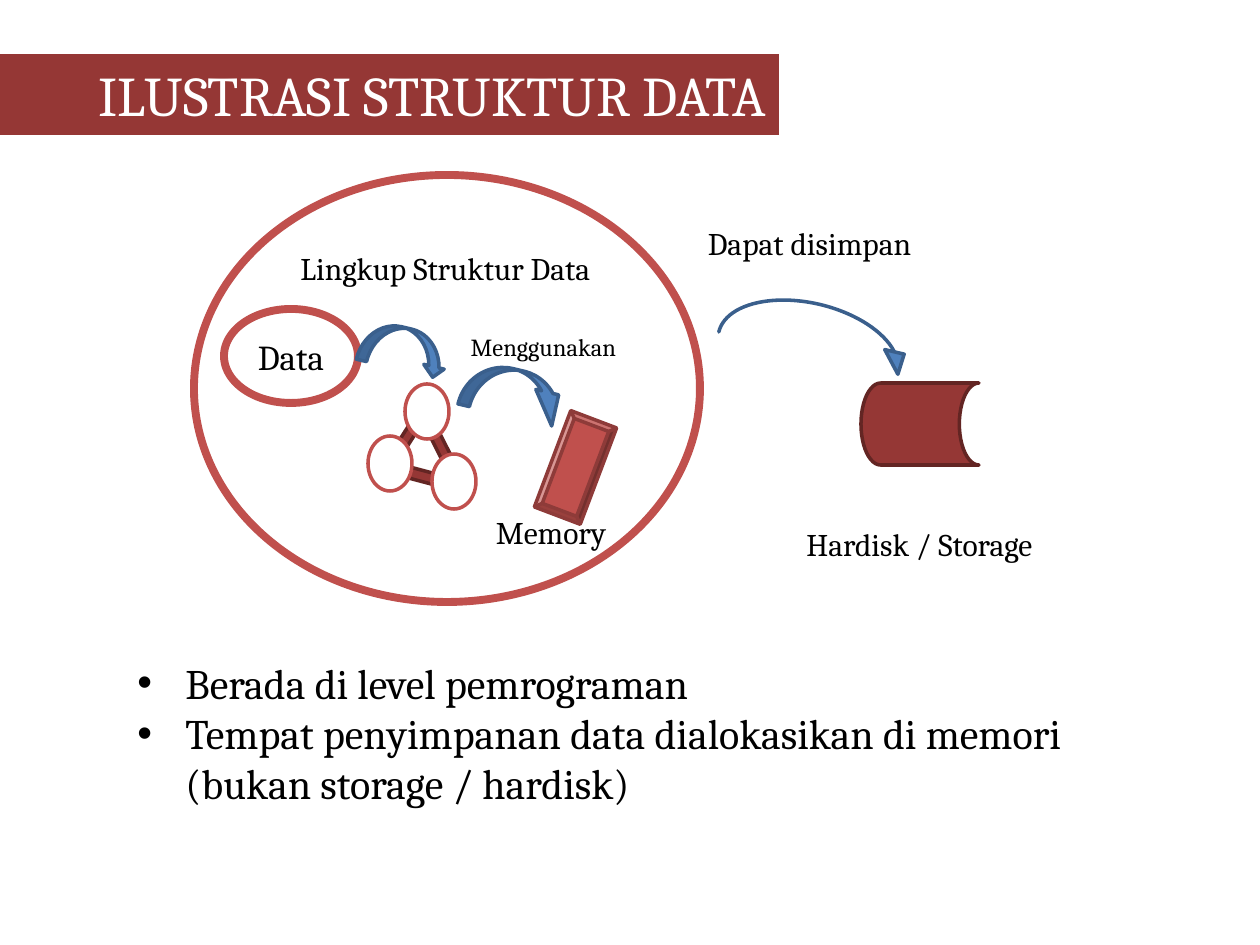
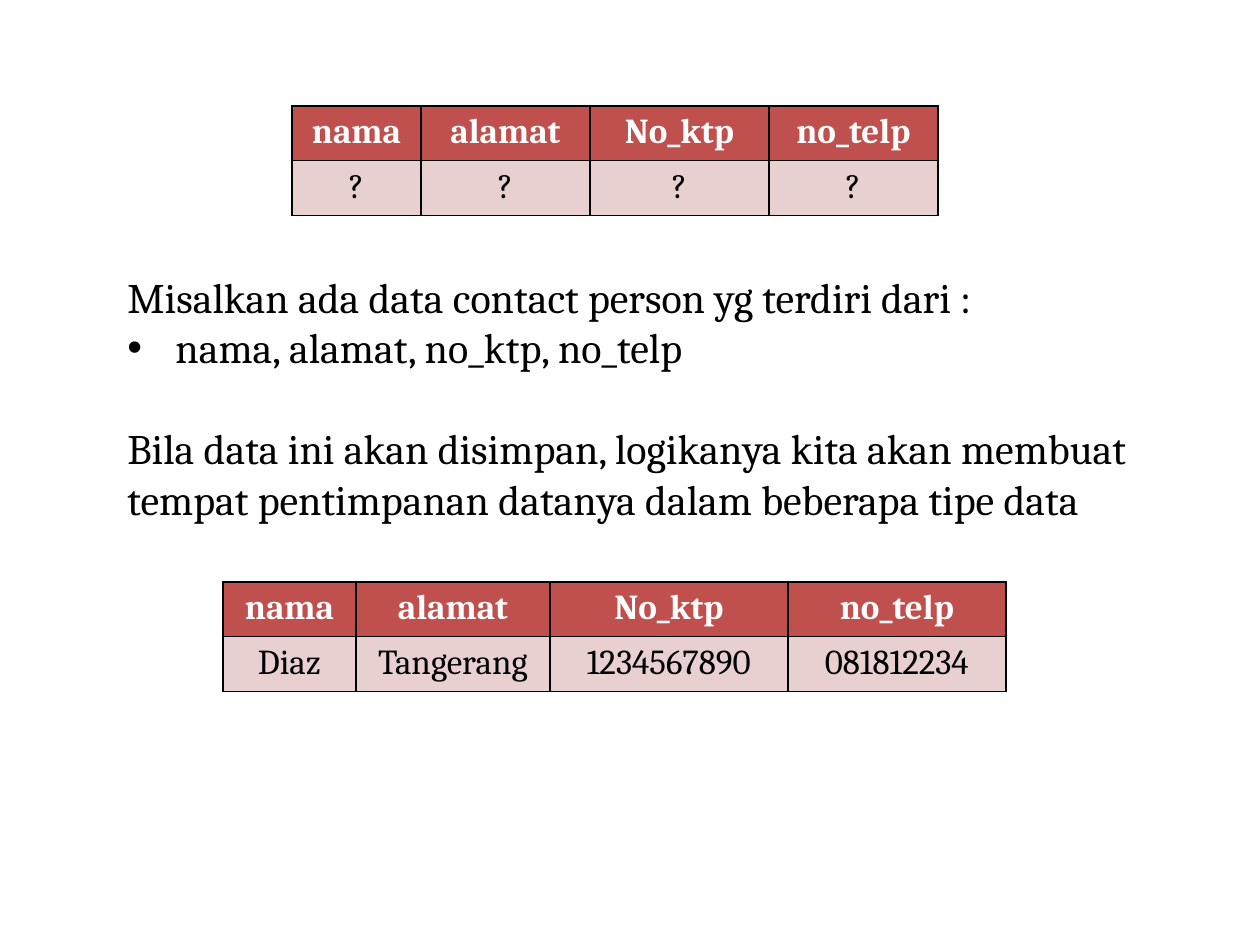
from dataclasses import dataclass
from lxml.etree import SubElement
from pptx import Presentation
from pptx.dml.color import RGBColor
from pptx.enum.shapes import MSO_SHAPE
from pptx.enum.text import MSO_ANCHOR, MSO_AUTO_SIZE, PP_ALIGN
from pptx.oxml.ns import qn
from pptx.util import Pt

PX = 7257  # EMU in one px, 126 px to the inch


@dataclass
class Theme:
    font: str = "Cambria"
    white: str = "FFFFFF"
    black: str = "000000"
    red: str = "C0504D"
    dark: str = "953735"
    edge: str = "632523"
    rim: str = "8E3B39"
    blue: str = "4F81BD"
    navy: str = "3A5F8C"
    pale: str = "E8D0D0"
    title: int = 32
    body: int = 24
    cell: int = 20
    label: int = 18
    small: int = 14


T = Theme()


def write(frame, lines, size, color=T.black, align=PP_ALIGN.CENTER, bold=False):
    """Fill a text frame; a line that starts with a bullet gets a hanging indent."""
    for i, line in enumerate(lines):
        par = frame.add_paragraph() if i else frame.paragraphs[0]
        par.text = line.removeprefix("•")
        par.alignment = align
        font = par.font
        font.name, font.size, font.bold = T.font, Pt(size), bold
        font.color.rgb = RGBColor.from_string(color)
        if line.startswith("•"):
            props = par._p.get_or_add_pPr()
            props.set("marL", str(48 * PX))
            props.set("indent", str(-48 * PX))
            mark = SubElement(props, qn("a:buFont"), typeface="Arial")
            props.insert(0, mark)
            char = SubElement(props, qn("a:buChar"), char="•")
            mark.addnext(char)


def draw(slide, kind, box, fill, line, width=2, turn=0):
    """Add a preset shape with a flat fill and outline."""
    shape = slide.shapes.add_shape(kind, *[v * PX for v in box])
    shape.shadow.inherit = False
    shape.rotation = turn
    shape.fill.solid()
    shape.fill.fore_color.rgb = RGBColor.from_string(fill)
    shape.line.color.rgb = RGBColor.from_string(line)
    shape.line.width = Pt(width)
    return shape


deck = Presentation()
deck.slide_width, deck.slide_height = 1260 * PX, 945 * PX

# Slide 1: title band
page = deck.slides.add_slide(deck.slide_layouts[5])
head = page.shapes.title
head.left, head.top, head.width, head.height = [v * PX for v in (0, 54, 779, 81)]
head.fill.solid()
head.fill.fore_color.rgb = RGBColor.from_string(T.dark)
head.text_frame.auto_size = MSO_AUTO_SIZE.NONE
head.text_frame.vertical_anchor = MSO_ANCHOR.MIDDLE
write(head.text_frame, ["ILUSTRASI STRUKTUR DATA"], T.title, T.white, PP_ALIGN.RIGHT)

# Scope and data ovals
draw(page, MSO_SHAPE.OVAL, (194, 175, 506, 427), T.white, T.red, 4.5)
data = draw(page, MSO_SHAPE.OVAL, (224, 309, 134, 94), T.white, T.red, 4.5)
data.text_frame.vertical_anchor = MSO_ANCHOR.MIDDLE
data.text_frame.word_wrap = False
write(data.text_frame, ["Data"], T.cell)

# Linked nodes
for box, turn in (
    ((407, 471, 34, 11), 14.9),
    ((423, 444, 38, 10), 63.4),
    ((389, 431, 38, 10), 122.7),
):
    draw(page, MSO_SHAPE.RECTANGLE, box, T.dark, T.edge, turn=turn)
for x, y in ((368, 436), (405, 384), (432, 454)):
    draw(page, MSO_SHAPE.FLOWCHART_CONNECTOR, (x, y, 44, 55), T.white, T.red)

# Memory and storage
draw(page, MSO_SHAPE.BEVEL, (551, 416, 49, 103), T.red, T.rim, turn=20.7)
draw(page, MSO_SHAPE.FLOWCHART_STORED_DATA, (861, 383, 118, 82), T.dark, T.edge)

# Curved arrows
for box, bends in (
    ((360, 328, 89, 42), (0.25, 0.5, 0.25)),
    ((462, 370, 108, 47), (0.25, 0.5, 0.68)),
    ((722, 305, 194, 50), (0, 0.4, 0.42)),
):
    arrow = draw(page, MSO_SHAPE.CURVED_DOWN_ARROW, box, T.blue, T.navy, turn=13.3)
    for i, bend in enumerate(bends):
        arrow.adjustments[i] = bend

# Labels
for text, box, size in (
    ("Lingkup Struktur Data", (281, 243, 329, 50), T.label),
    ("Memory", (481, 507, 140, 50), T.label),
    ("Menggunakan", (456, 326, 175, 43), T.small),
    ("Dapat disimpan", (686, 218, 247, 50), T.label),
    ("Hardisk / Storage", (787, 519, 265, 50), T.label),
):
    note = page.shapes.add_textbox(*[v * PX for v in box])
    note.text_frame.word_wrap = False
    write(note.text_frame, [text], size)

# Key points
note = page.shapes.add_textbox(*[v * PX for v in (125, 651, 990, 165)])
note.text_frame.word_wrap = True
write(note.text_frame, [
    "•Berada di level pemrograman",
    "•Tempat penyimpanan data dialokasikan di memori (bukan storage / hardisk)",
], T.body, align=PP_ALIGN.LEFT)

# Slide 2: explanation
page = deck.slides.add_slide(deck.slide_layouts[6])
note = page.shapes.add_textbox(*[v * PX for v in (115, 265, 1081, 267)])
note.text_frame.word_wrap = True
write(note.text_frame, [
    "Misalkan ada data contact person yg terdiri dari :",
    "•nama, alamat, no_ktp, no_telp",
    "Bila data ini akan disimpan, logikanya kita akan membuat "
    "tempat pentimpanan datanya dalam beberapa tipe data",
], T.body, align=PP_ALIGN.LEFT)
note.text_frame.paragraphs[2].space_before = Pt(29)

# Contact tables, empty and filled
names = ("nama", "alamat", "No_ktp", "no_telp")
for x, y, wides, values in (
    (292, 106, (129, 169, 179, 169), "????"),
    (223, 582, (133, 194, 238, 218), ("Diaz", "Tangerang", "1234567890", "081812234")),
):
    frame = page.shapes.add_table(2, 4, x * PX, y * PX, sum(wides) * PX, 108 * PX)
    grid = frame.table
    grid.horz_banding = False
    for col, wide in zip(grid.columns, wides):
        col.width = wide * PX
    for r, (row, fill, color) in enumerate(
        ((names, T.red, T.white), (values, T.pale, T.black))
    ):
        for c, text in enumerate(row):
            cell = grid.cell(r, c)
            write(cell.text_frame, [text], T.cell, color, bold=r == 0)
            props = cell._tc.get_or_add_tcPr()
            for side in ("lnL", "lnR", "lnT", "lnB"):
                rule = SubElement(props, qn("a:" + side), w=str(Pt(1)))
                paint = SubElement(rule, qn("a:solidFill"))
                SubElement(paint, qn("a:srgbClr"), val=T.black)
            cell.fill.solid()
            cell.fill.fore_color.rgb = RGBColor.from_string(fill)

deck.save("out.pptx")
